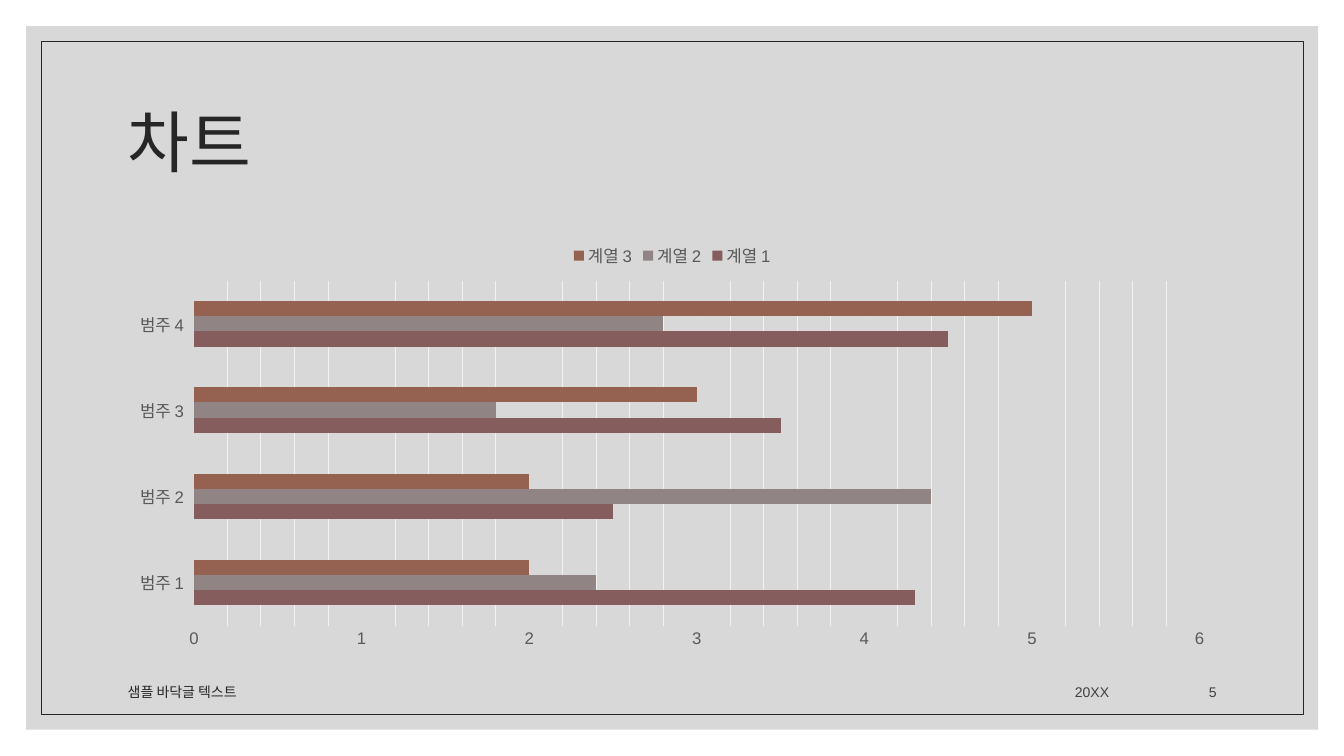
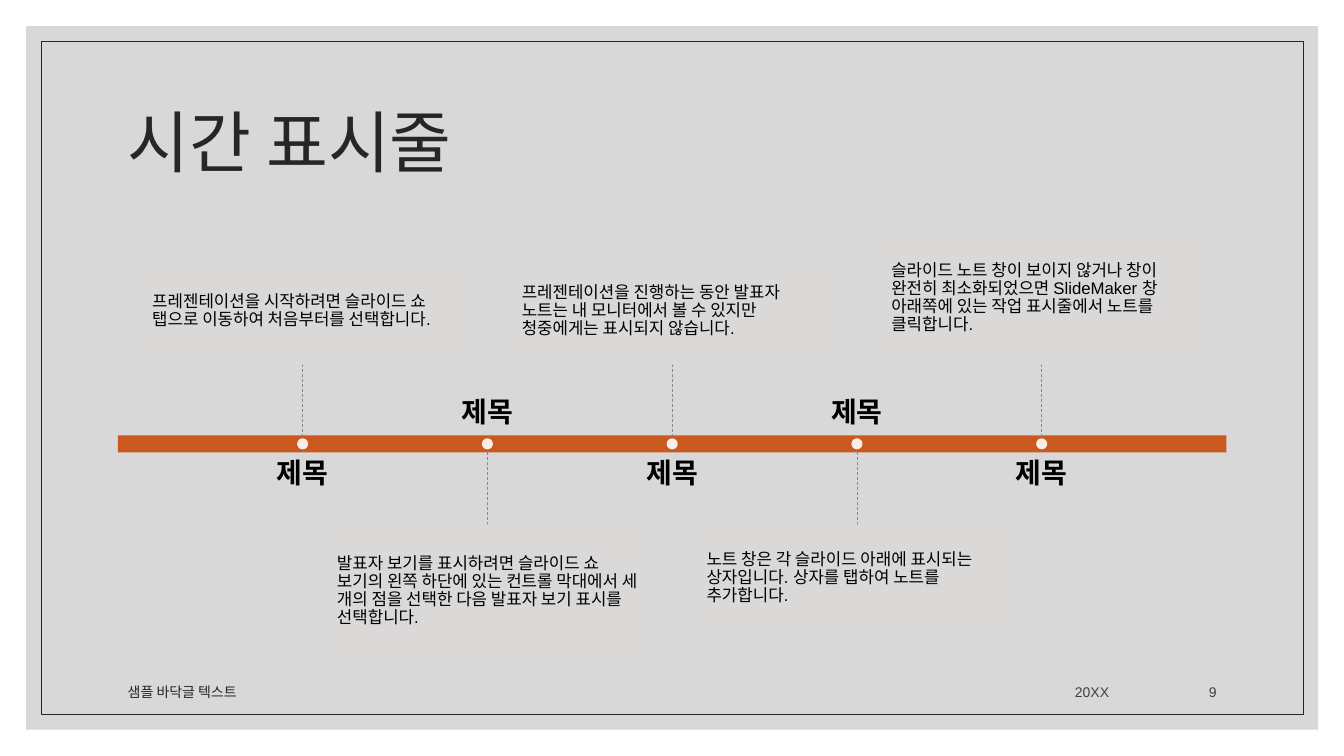
from copy import deepcopy
from typing import NamedTuple

from lxml import etree
from pptx import Presentation
from pptx import util as u
from pptx.chart.data import CategoryChartData
from pptx.dml.color import RGBColor
from pptx.enum import chart as ch, dml, shapes, text
from pptx.oxml import ns

COLORS = {
    "backdrop": "BFBFBF", "dark": "262626", "footer": "404040",
    "label": "595959", "grid": "D9D9D9", "minor_grid": "F2F2F2",
    "bar": "CB581F", "card": "DCD9D9", "stem": "918485",
    "dot": "FFFFFF", "black": "000000",
    "series1": "855D5D", "series2": "918485", "series3": "956251",
}
FONT = "Arial"
LEFT, WIDTH = 2.97, 27.94  # content column, cm
ANCHOR = text.MSO_ANCHOR
ALIGN = text.PP_ALIGN


class Box(NamedTuple):
    """A rectangle in centimetres."""
    x: float
    y: float
    w: float
    h: float

    def emu(self) -> list[u.Length]:
        return [u.Cm(v) for v in self]


class Style(NamedTuple):
    size: float
    color: str = "black"
    bold: bool = False
    align: ALIGN = ALIGN.LEFT
    anchor: ANCHOR = ANCHOR.MIDDLE
    spacing: float = 1.0
    inset: float | None = None


class Series(NamedTuple):
    name: str
    values: tuple[float, ...]
    color: str


class Milestone(NamedTuple):
    note: str
    height: float


TITLE = Style(48, "dark", spacing=0.9)
FOOTER = Style(10, "dark", anchor=ANCHOR.BOTTOM)
FOOTER_RIGHT = Style(10, "footer", align=ALIGN.RIGHT, anchor=ANCHOR.BOTTOM)
NOTE = Style(12, spacing=0.9, inset=0.3)
HEADING = Style(20, bold=True, align=ALIGN.CENTER, spacing=0.9, inset=0)

CATEGORIES = [f"범주 {n}" for n in range(1, 5)]
SERIES = [
    Series("계열 1", (4.3, 2.5, 3.5, 4.5), "series1"),
    Series("계열 2", (2.4, 4.4, 1.8, 2.8), "series2"),
    Series("계열 3", (2, 2, 3, 5), "series3"),
]
MILESTONES = [
    Milestone("프레젠테이션을 시작하려면 슬라이드 쇼 탭으로 이동하여 처음부터를 선택합니다.", 2.67),
    Milestone("발표자 보기를 표시하려면 슬라이드 쇼 보기의 왼쪽 하단에 있는 컨트롤 막대에서 "
              "세 개의 점을 선택한 다음 발표자 보기 표시를 선택합니다.", 3.33),
    Milestone("프레젠테이션을 진행하는 동안 발표자 노트는 내 모니터에서 볼 수 있지만 "
              "청중에게는 표시되지 않습니다.", 2.67),
    Milestone("노트 창은 각 슬라이드 아래에 표시되는 상자입니다. 상자를 탭하여 노트를 추가합니다.", 2.67),
    Milestone("슬라이드 노트 창이 보이지 않거나 창이 완전히 최소화되었으면 SlideMaker 창 "
              "아래쪽에 있는 작업 표시줄에서 노트를 클릭합니다.", 3.33),
]


def rgb(name: str) -> RGBColor:
    return RGBColor.from_string(COLORS[name])


def write(s, content: str, style: Style) -> None:
    tf = s.text_frame
    tf.word_wrap = True
    tf.vertical_anchor = style.anchor
    if style.inset is not None:
        tf.margin_left = tf.margin_right = u.Cm(style.inset)
        tf.margin_top = tf.margin_bottom = u.Cm(style.inset)
    p = tf.paragraphs[0]
    p.text = content
    p.alignment = style.align
    p.line_spacing = style.spacing
    p.font.name = FONT
    p.font.size = u.Pt(style.size)
    p.font.bold = style.bold
    p.font.color.rgb = rgb(style.color)


def add_text(slide, box: Box, content: str, style: Style) -> None:
    write(slide.shapes.add_textbox(*box.emu()), content, style)


def add_shape(slide, box: Box, fill: str | None = None, line: str | None = None,
              line_width: float = 1, opacity: int = 100,
              kind=shapes.MSO_SHAPE.RECTANGLE):
    """Add a flat shape; opacity, in percent, covers fill and line."""
    s = slide.shapes.add_shape(kind, *box.emu())
    s.shadow.inherit = False
    if fill:
        s.fill.solid()
        s.fill.fore_color.rgb = rgb(fill)
    else:
        s.fill.background()
    if line:
        s.line.color.rgb = rgb(line)
        s.line.width = u.Pt(line_width)
    else:
        s.line.fill.background()
    if opacity < 100:
        for color in s._element.spPr.iter(ns.qn("a:srgbClr")):
            etree.SubElement(color, ns.qn("a:alpha")).set("val", str(opacity * 1000))
    return s


def add_stem(slide, x: float, top: float, bottom: float) -> None:
    s = slide.shapes.add_connector(shapes.MSO_CONNECTOR.STRAIGHT,
                                   u.Cm(x), u.Cm(top), u.Cm(x), u.Cm(bottom))
    s.line.color.rgb = rgb("stem")
    s.line.width = u.Pt(0.5)
    s.line.dash_style = dml.MSO_LINE.DASH
    etree.SubElement(s._element.spPr, ns.qn("a:effectLst"))


def add_slide(prs, title: str, number: int):
    """Add a slide with the shared frame, title and footer."""
    slide = prs.slides.add_slide(prs.slide_layouts[6])
    add_shape(slide, Box(0.66, 0.66, 32.56, 17.73), fill="backdrop", opacity=60)
    add_shape(slide, Box(1.04, 1.04, 31.8, 16.97), line="dark", line_width=0.5)
    add_text(slide, Box(LEFT, 1.78, WIDTH, 3.81), title, TITLE)
    add_text(slide, Box(LEFT, 16.76, 16.15, 1.02), "샘플 바닥글 텍스트", FOOTER)
    add_text(slide, Box(20.17, 16.76, 8.03, 1.02), "20XX", FOOTER_RIGHT)
    add_text(slide, Box(28.57, 16.76, 2.34, 1.02), str(number), FOOTER_RIGHT)
    return slide


def add_minor_gridlines(axis, color: str) -> None:
    """Give the axis minor gridlines like its major ones, in another colour."""
    axis.has_minor_gridlines = True
    major, minor = (axis._element.find(ns.qn(tag))
                    for tag in ("c:majorGridlines", "c:minorGridlines"))
    for part in major:
        minor.append(deepcopy(part))
    for value in minor.iter(ns.qn("a:srgbClr")):
        value.set("val", COLORS[color])


def add_bar_chart(slide, box: Box) -> None:
    data = CategoryChartData()
    data.categories = CATEGORIES
    for series in SERIES:
        data.add_series(series.name, series.values)
    chart = slide.shapes.add_chart(ch.XL_CHART_TYPE.BAR_CLUSTERED,
                                   *box.emu(), data).chart
    chart.has_title = False
    chart.font.name = FONT
    chart.font.size = u.Pt(12)
    chart.font.color.rgb = rgb("label")
    chart.has_legend = True
    chart.legend.position = ch.XL_LEGEND_POSITION.TOP
    chart.legend.include_in_layout = False

    plot = chart.plots[0]
    plot.gap_width = 269
    plot.overlap = 0
    plot.vary_by_categories = False
    for drawn, series in zip(plot.series, SERIES):
        drawn.format.fill.solid()
        drawn.format.fill.fore_color.rgb = rgb(series.color)

    axis = chart.value_axis
    axis.minimum_scale, axis.maximum_scale = 0, 6
    axis.major_unit, axis.minor_unit = 1, 0.2
    axis.major_tick_mark = ch.XL_TICK_MARK.NONE
    axis.format.line.fill.background()
    axis.has_major_gridlines = True
    for line in (axis.major_gridlines.format.line, chart.category_axis.format.line):
        line.color.rgb = rgb("grid")
        line.width = u.Pt(0.75)
    add_minor_gridlines(axis, "minor_grid")


def add_timeline(slide) -> None:
    """Draw the bar, with notes alternating above and below it."""
    bar = Box(LEFT, 10.97, WIDTH, 0.43)
    note_width, heading_width, heading_height, dot = 8.18, 7.44, 1.22, 0.28
    notes_above_end, notes_below_start = 9.17, 13.23
    step = bar.w / (len(MILESTONES) + 1)
    middle = bar.y + bar.h / 2
    add_shape(slide, bar, fill="bar")
    for i, milestone in enumerate(MILESTONES):
        x = bar.x + step * (i + 1)
        if i % 2 == 0:
            note_top = notes_above_end - milestone.height
            heading_top, anchor = 11.58, ANCHOR.TOP
            add_stem(slide, x, notes_above_end, bar.y)
        else:
            note_top = notes_below_start
            heading_top, anchor = 9.58, ANCHOR.BOTTOM
            add_stem(slide, x, bar.y + bar.h, notes_below_start)
        note = add_shape(slide, Box(x - note_width / 2, note_top, note_width, milestone.height),
                         fill="card", line="card", opacity=90)
        write(note, milestone.note, NOTE)
        add_text(slide, Box(x - heading_width / 2, heading_top, heading_width, heading_height),
                 "제목", HEADING._replace(anchor=anchor))
        add_shape(slide, Box(x - dot / 2, middle - dot / 2, dot, dot),
                  fill="dot", opacity=90, kind=shapes.MSO_SHAPE.OVAL)


def main() -> None:
    prs = Presentation()
    prs.slide_width, prs.slide_height = u.Cm(33.87), u.Cm(19.05)
    add_bar_chart(add_slide(prs, "차트", 5), Box(LEFT, 5.84, WIDTH, 10.69))
    add_timeline(add_slide(prs, "시간 표시줄", 9))
    prs.save("out.pptx")


if __name__ == "__main__":
    main()
